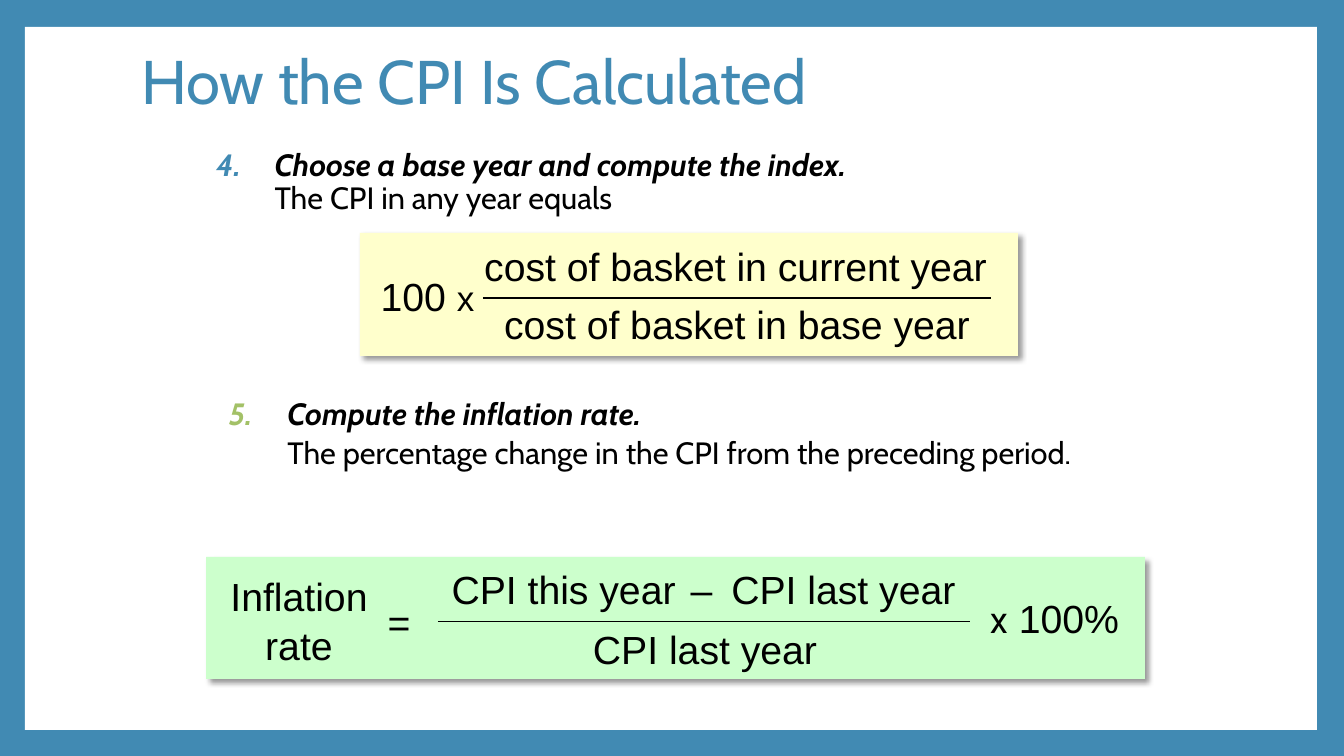
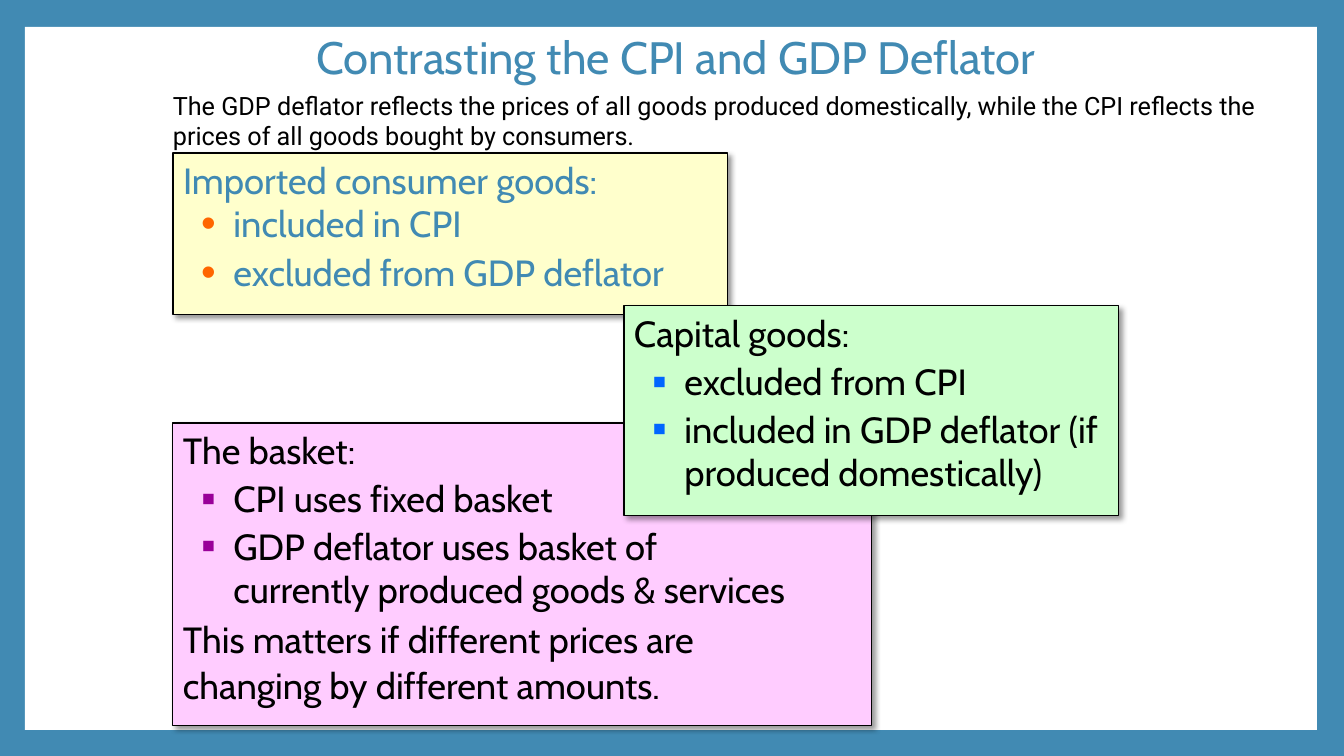
from lxml import etree
from pptx import Presentation, util as u
from pptx.dml.color import RGBColor
from pptx.enum import shapes as sh, text as t
from pptx.oxml.ns import qn

BLUE = RGBColor(0x41, 0x8A, 0xB3)
LEAF = RGBColor(0xA3, 0xC1, 0x67)
BLACK = RGBColor(0, 0, 0)
WHITE = RGBColor(0xFF, 0xFF, 0xFF)
CREAM = RGBColor(0xFF, 0xFF, 0xCC)
MINT = RGBColor(0xCC, 0xFF, 0xCC)
PINK = RGBColor(0xFF, 0xCC, 0xFF)
ORANGE = RGBColor(0xFF, 0x66, 0x00)
PURPLE = RGBColor(0x99, 0x00, 0x99)
AZURE = RGBColor(0x00, 0x66, 0xFF)

PX = 914400 / 100.8
RECT = sh.MSO_SHAPE.RECTANGLE
MID, TOP = t.MSO_ANCHOR.MIDDLE, t.MSO_ANCHOR.TOP
LEFT, CENTER = t.PP_ALIGN.LEFT, t.PP_ALIGN.CENTER
HEAD = dict(font="Cabin", color=BLUE, lead=0.9)
STEP = dict(size=22, font="Cabin", indent=58)
NOTE = dict(size=26, font="Cabin")
ITEM = dict(NOTE, indent=50, hang=32, before=3)
MATH = dict(size=28, align=CENTER)


def box(shape, area, fill=None, line=None, shadow=True, anchor=TOP):
    """Place a shape, paint it and ready its text frame."""
    shape.left, shape.top, shape.width, shape.height = (round(v * PX) for v in area)
    frame = shape.text_frame
    frame.word_wrap = True
    frame.auto_size = t.MSO_AUTO_SIZE.NONE
    frame.vertical_anchor = anchor
    if fill is not None:
        shape.fill.solid()
        shape.fill.fore_color.rgb = fill
        if line is None:
            shape.line.fill.background()
        else:
            shape.line.color.rgb = line
            shape.line.width = u.Pt(0.75)
        shape.shadow.inherit = False
        if shadow:
            effect = shape._element.spPr.find(qn("a:effectLst"))
            outer = etree.SubElement(effect, qn("a:outerShdw"), blurRad="50800",
                                     dist="38100", dir="2700000", algn="tl", rotWithShape="0")
            tone = etree.SubElement(outer, qn("a:srgbClr"), val=str(BLACK))
            etree.SubElement(tone, qn("a:alpha"), val="40000")
    return shape


def write(shape, runs, size, font="Arial", color=BLACK, align=LEFT, lead=1.0,
          before=0, after=0, indent=0, hang=None, bullet=None, tint=None):
    """Add one paragraph; runs is a string or a list of (string, changes)."""
    frame = shape.text_frame
    para = frame.add_paragraph() if frame.text else frame.paragraphs[0]
    para.alignment, para.line_spacing = align, lead
    para.space_before, para.space_after = u.Pt(before), u.Pt(after)
    props = para._p.get_or_add_pPr()
    props.set("marL", str(round(indent * 9144)))
    props.set("indent", str(-round((indent if hang is None else hang) * 9144)))
    if bullet is None:
        etree.SubElement(props, qn("a:buNone"))
    else:
        etree.SubElement(etree.SubElement(props, qn("a:buClr")),
                         qn("a:srgbClr"), val=str(tint))
        if isinstance(bullet, int):
            etree.SubElement(props, qn("a:buAutoNum"), type="arabicPeriod",
                             startAt=str(bullet))
        else:
            para.level = 1
            etree.SubElement(props, qn("a:buSzPct"), val="115000")
            etree.SubElement(props, qn("a:buFont"), typeface="Arial")
            etree.SubElement(props, qn("a:buChar"), char=bullet)
    for words, diff in [(runs, {})] if isinstance(runs, str) else runs:
        for i, part in enumerate(words.split("\n")):
            if i:
                para.add_line_break()
            if part:
                run = para.add_run()
                run.text = part
                run.font.size = u.Pt(diff.get("size", size))
                run.font.name = diff.get("font", font)
                run.font.color.rgb = color
                run.font.bold = run.font.italic = diff.get("strong", False)
                if "track" in diff:
                    run._r.get_or_add_rPr().set("spc", str(diff["track"]))


deck = Presentation()
deck.slide_width, deck.slide_height = round(1344 * PX), round(756 * PX)

# Shared frame: blue master, white panel on the layout
ground = deck.slide_master.background.fill
ground.solid()
ground.fore_color.rgb = BLUE
plan = deck.slide_layouts[1]
calc, contrast = (deck.slides.add_slide(plan) for _ in range(2))
panel = box(calc.shapes.add_shape(RECT, 0, 0, 0, 0), (25, 27, 1292, 703), WHITE, shadow=False)
panel._element.nvSpPr.cNvPr.set("id", "99")
plan.shapes._spTree.insert(2, panel._element)

# Titles
for slide, words, size, align, area in (
        (calc, "How the CPI Is Calculated", 44, LEFT, (131, 36, 1089, 98)),
        (contrast, "Contrasting the CPI and GDP Deflator", 32.4, CENTER, (198, 29, 956, 61))):
    write(box(slide.shapes.title, area, anchor=MID), words, size, align=align, **HEAD)

# Slide 1: numbered steps
first = box(calc.placeholders[1], (206, 145, 916, 123))
second = box(calc.shapes.add_textbox(0, 0, 0, 0), (219, 388, 907, 175))
for shape, num, tint, lead, name, rest in (
        (first, 4, BLUE, 0.9, "Choose a base year and compute the index.",
         "The CPI in any year equals"),
        (second, 5, LEAF, 1.05, "Compute the inflation rate.",
         "The percentage change in the CPI from the preceding period.")):
    write(shape, [(name + "\n", dict(strong=True)), (rest, {})],
          bullet=num, tint=tint, lead=lead, **STEP)

# Slide 1: formulas, each a card, a fraction bar and its terms
index = (CREAM, (360, 233, 658, 123), (483, 991, 298), [
    ((370, 267, 115, 57), [("100 ", {}), ("x", dict(size=25))], 1.0),
    ((463, 237, 545, 57), "cost of basket in current year", 1.0),
    ((481, 295, 512, 57), "cost of basket in base year", 1.0)])
rate = (MINT, (206, 557, 939, 122), (438, 970, 622), [
    ((429, 560, 549, 57), [("CPI this year", {}), (" – ", dict(track=290)),
                           ("CPI last year", {})], 1.0),
    ((437, 620, 536, 57), "CPI last year", 1.0),
    ((219, 565, 160, 109), "Inflation\nrate", 1.05),
    ((970, 589, 169, 57), [("x", dict(size=26, font="Roboto")), (" 100%", {})], 1.0),
    ((375, 593, 48, 57), "=", 1.0)])
for fill, area, (start, end, y), terms in (index, rate):
    parts = [box(calc.shapes.add_shape(RECT, 0, 0, 0, 0), area, fill)]
    for place, words, lead in terms:
        term = box(calc.shapes.add_textbox(0, 0, 0, 0), place)
        write(term, words, lead=lead, **MATH)
        parts.append(term)
    bar = calc.shapes.add_connector(sh.MSO_CONNECTOR.STRAIGHT, *(
        round(v * PX) for v in (start, y, end, y)))
    bar.line.color.rgb = BLACK
    bar.line.width = u.Pt(0.75)
    etree.SubElement(bar._element.spPr, qn("a:effectLst"))
    calc.shapes.add_group_shape(parts + [bar])

# Slide 2: overlapping cards
goods = box(contrast.placeholders[1], (173, 153, 555, 162), CREAM, BLACK)
basket, capital = (
    box(contrast.shapes.add_shape(RECT, 0, 0, 0, 0), area, fill, BLACK)
    for area, fill in (((173, 423, 699, 303), PINK), ((624, 306, 495, 210), MINT)))
for card, name, color, mark, tint, lead, after, items in (
        (goods, "Imported consumer goods:", BLUE, "•", ORANGE, 0.9, 4,
         ["included in CPI", "excluded from GDP deflator"]),
        (basket, "The basket:", BLACK, "▪", PURPLE, 1.0, 0,
         ["CPI uses fixed basket",
          "GDP deflator uses basket of\ncurrently produced goods & services"]),
        (capital, "Capital goods:", BLACK, "▪", AZURE, 1.0, 0,
         ["excluded from CPI", "included in GDP deflator (if produced domestically)"])):
    write(card, name, color=color, **NOTE)
    for item in items:
        write(card, item, color=color, bullet=mark, tint=tint, lead=lead, after=after, **ITEM)
write(basket, "This matters if different prices are\nchanging by different amounts.",
      lead=1.05, before=3, **NOTE)

# Slide 2: lead sentence
intro = box(contrast.shapes.add_textbox(0, 0, 0, 0), (163, 85, 1113, 72))
write(intro, "The GDP deflator reflects the prices of all goods produced domestically, "
      "while the CPI reflects the prices of all goods bought by consumers.", 18, font="Roboto")

deck.save("out.pptx")
